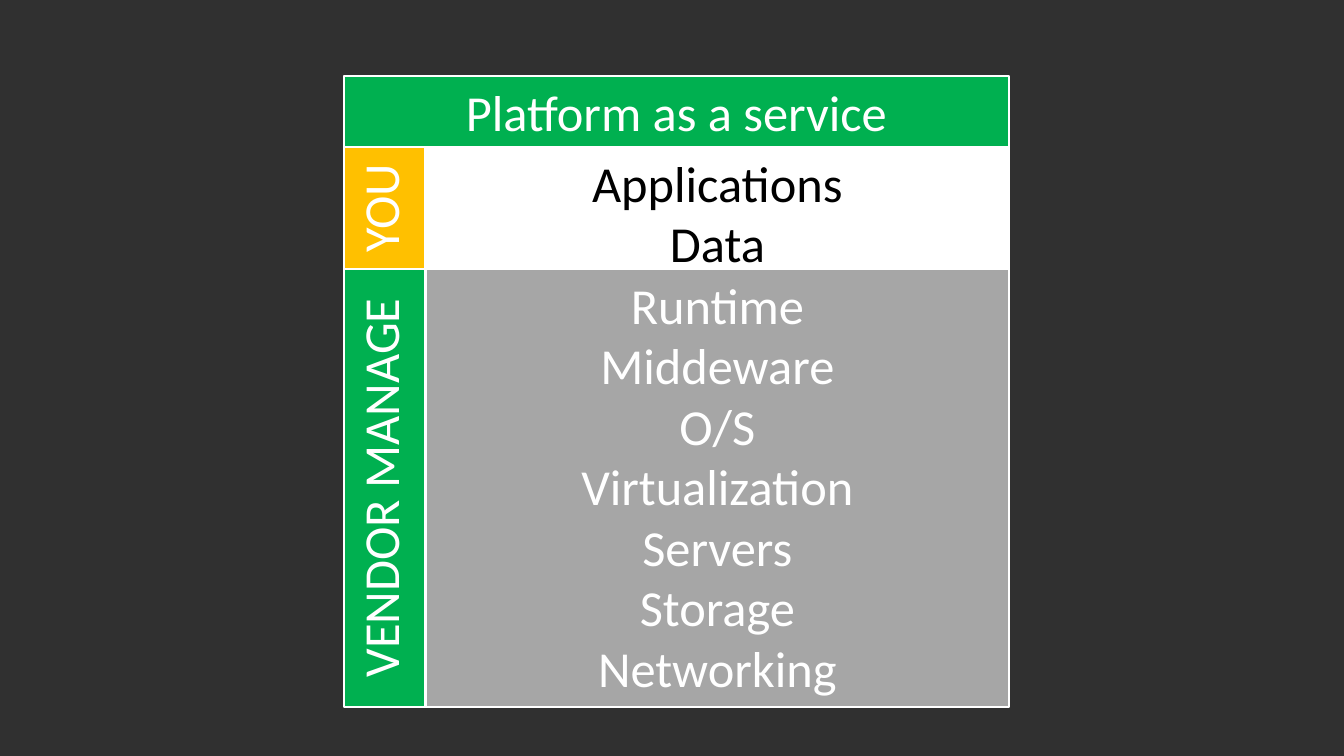
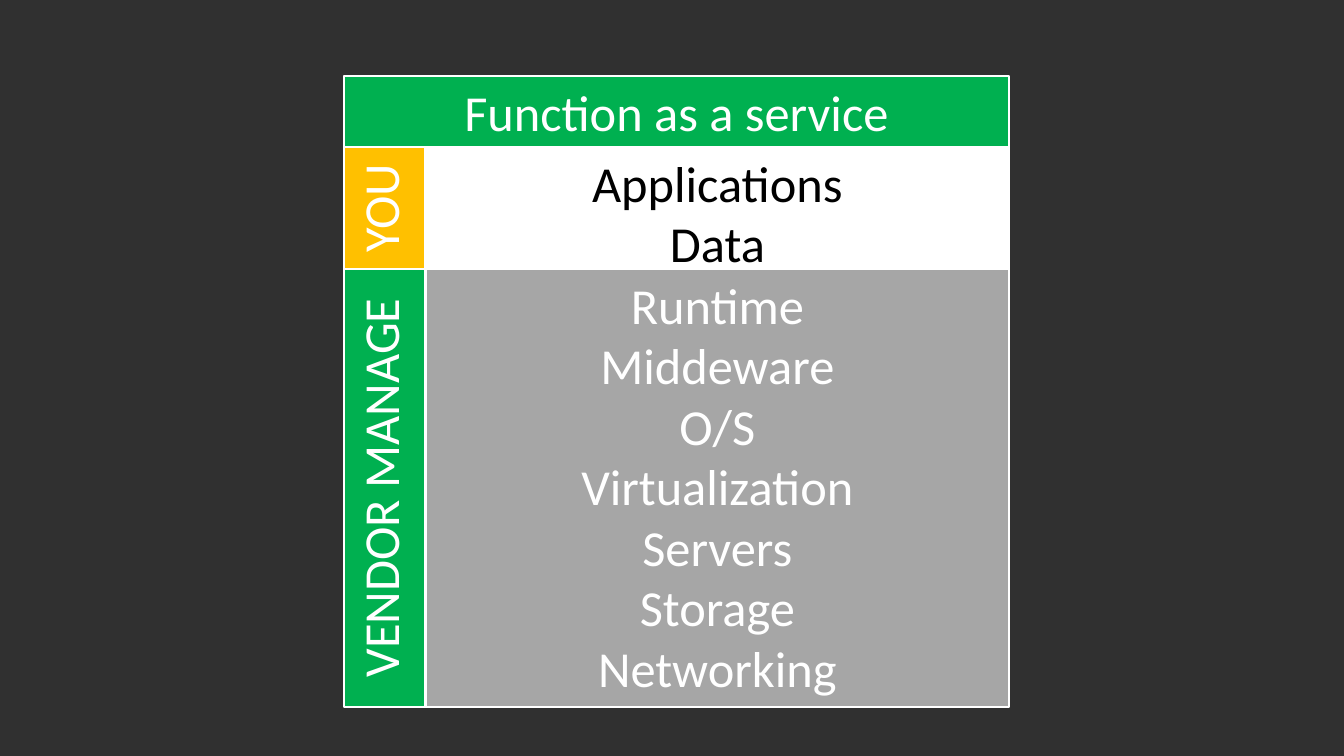
from pptx import Presentation
from pptx.dml.color import RGBColor
from pptx.enum.shapes import MSO_SHAPE
from pptx.enum.text import MSO_ANCHOR, MSO_AUTO_SIZE, PP_ALIGN
from pptx.util import Inches, Pt

RECT = MSO_SHAPE.RECTANGLE
TOP = MSO_ANCHOR.TOP
NO_FIT = MSO_AUTO_SIZE.NONE
CENTER = PP_ALIGN.CENTER

FONT = "Calibri"
DARK, WHITE, BLACK = "303030", "FFFFFF", "000000"
GREEN, AMBER, GREY = "00B050", "FFC000", "A6A6A6"

LEFT, LABEL_W, STACK_W = 3.41, 0.81, 5.79
STACK_LEFT = LEFT + LABEL_W
TITLE_TOP, YOU_TOP, VENDOR_TOP, BOTTOM = 0.75, 1.46, 2.67, 7.01

TITLES = ["Platform as a service", "Function as a service"]
BANDS = [
    ("YOU", AMBER, YOU_TOP, VENDOR_TOP, WHITE, BLACK,
     ["Applications", "Data"]),
    ("VENDOR MANAGE", GREEN, VENDOR_TOP, BOTTOM, GREY, WHITE,
     ["Runtime", "Middeware", "O/S", "Virtualization", "Servers",
      "Storage", "Networking"]),
]


def color(value):
    return RGBColor.from_string(value)


def style_box(sp, lines, fill, text_color=WHITE):
    sp.fill.solid()
    sp.fill.fore_color.rgb = color(fill)
    sp.line.color.rgb = color(WHITE)
    sp.line.width = Pt(1.5)
    tf = sp.text_frame
    tf.word_wrap = True
    tf.auto_size = NO_FIT
    tf.vertical_anchor = TOP
    tf.text = "\n".join(lines)
    for p in tf.paragraphs:
        p.alignment = CENTER
        p.font.name = FONT
        p.font.size = Pt(36)
        p.font.color.rgb = color(text_color)


prs = Presentation()
prs.slide_width = Inches(13.33)
prs.slide_height = Inches(7.5)
background = prs.slide_master.background.fill
background.solid()
background.fore_color.rgb = color(DARK)

for title in TITLES:
    s = prs.slides.add_slide(prs.slide_layouts[5])
    sp = s.shapes.title
    sp.left, sp.top = Inches(LEFT), Inches(TITLE_TOP)
    sp.width, sp.height = Inches(LABEL_W + STACK_W), Inches(YOU_TOP - TITLE_TOP)
    style_box(sp, [title], GREEN)

    for owner, owner_fill, top, bottom, fill, text_color, layers in BANDS:
        y, h = Inches(top), Inches(bottom - top)
        stack = s.shapes.add_shape(RECT, Inches(STACK_LEFT), y, Inches(STACK_W), h)
        stack.shadow.inherit = False
        style_box(stack, layers, fill, text_color)

        label = s.shapes.add_shape(RECT, Inches(LEFT), y, Inches(LABEL_W), h)
        label.shadow.inherit = False
        style_box(label, [owner], owner_fill)
        label.text_frame._txBody.bodyPr.set("vert", "vert270")

prs.save("out.pptx")
